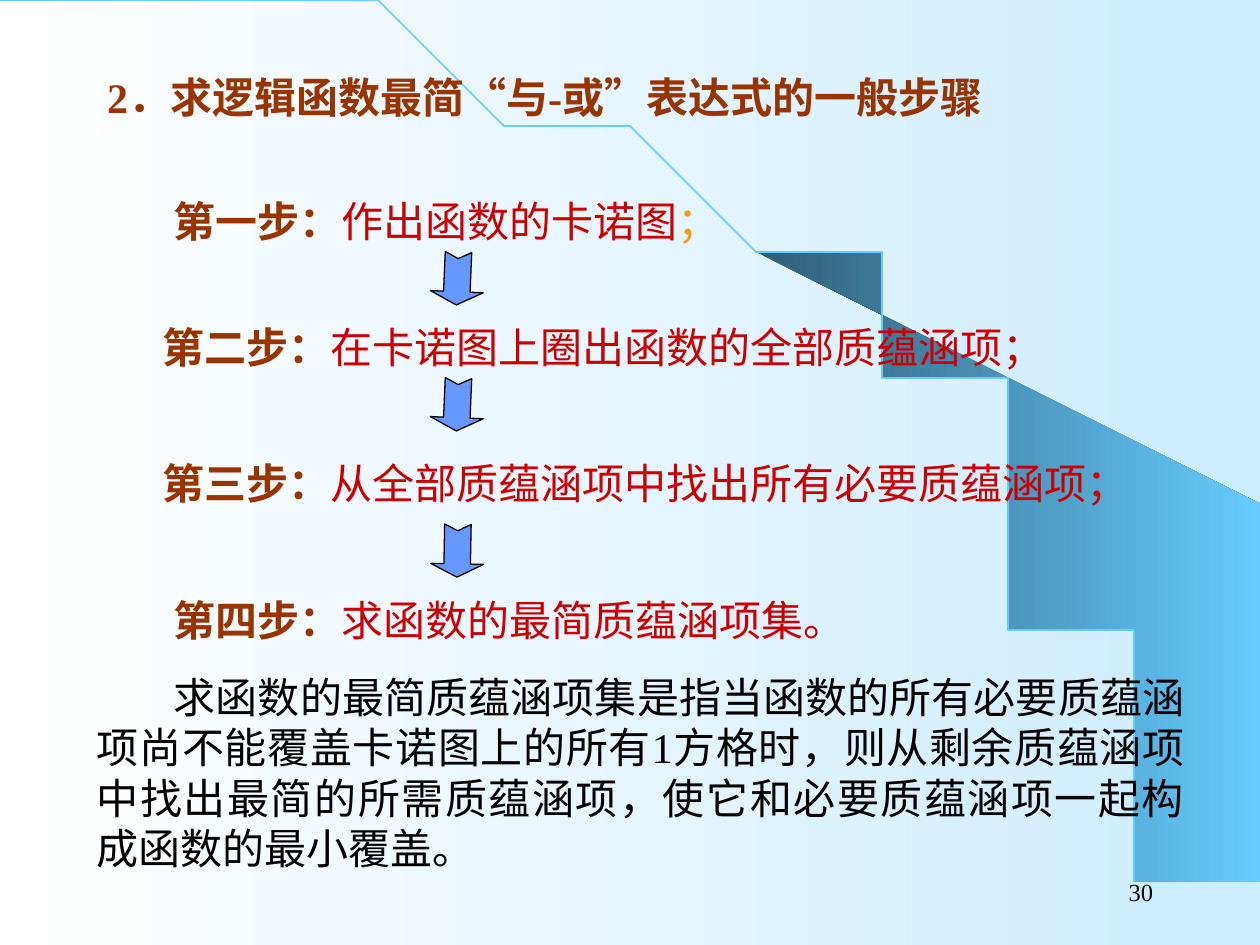
import math

from pptx import Presentation
from pptx.dml.color import RGBColor
from pptx.enum.shapes import MSO_SHAPE
from pptx.enum.text import MSO_ANCHOR, MSO_AUTO_SIZE, PP_ALIGN
from pptx.util import Inches, Pt

ARROW = MSO_SHAPE.NOTCHED_RIGHT_ARROW
TOP, MIDDLE = MSO_ANCHOR.TOP, MSO_ANCHOR.MIDDLE
LEFT, RIGHT, JUSTIFY = PP_ALIGN.LEFT, PP_ALIGN.RIGHT, PP_ALIGN.JUSTIFY
NO_AUTOFIT = MSO_AUTO_SIZE.NONE

FONT = "Times New Roman"
WHITE = RGBColor(0xFF, 0xFF, 0xFF)
BLACK = RGBColor(0x00, 0x00, 0x00)
PALE = RGBColor(0xCC, 0xEC, 0xFF)
SKY = RGBColor(0x66, 0xCC, 0xFF)
DEEP = RGBColor(0x2F, 0x5E, 0x76)
BLUE = RGBColor(0x66, 0x99, 0xFF)
BROWN = RGBColor(0x99, 0x33, 0x00)
RED = RGBColor(0xCC, 0x00, 0x00)
ORANGE = RGBColor(0xFF, 0x99, 0x00)

TITLE = "2．求逻辑函数最简“与-或”表达式的一般步骤"
STEPS = [
    (0.67, 1.5, [("第一步：", BROWN, True), ("作出函数的卡诺图", RED, False), ("；", ORANGE, False)]),
    (0.58, 2.5, [("第二步：", BROWN, True), ("在卡诺图上圈出函数的全部质蕴涵项；", RED, False)]),
    (0.58, 3.58, [("第三步：", BROWN, True), ("从全部质蕴涵项中找出所有必要质蕴涵项；", RED, False)]),
]
LAST_STEP = [("第四步：", BROWN, True), ("求函数的最简质蕴涵项集。", RED, False)]
NOTE = [(
    "求函数的最简质蕴涵项集是指当函数的所有必要质蕴涵项尚不能覆盖卡诺图上的所有1方格时，"
    "则从剩余质蕴涵项中找出最简的所需质蕴涵项，使它和必要质蕴涵项一起构成函数的最小覆盖。",
    BLACK, False,
)]
PAGE = "30"
ARROWS = [(2, 92.4), (3, 92.4), (4.16, 91.1)]
ARROW_LEFT, ARROW_SIZE = 3.42, 0.42
INDENT = 0.61
ARC_W, ARC_H = 9.2, 7.49
SWOOSH_START = 39.8
EDGE, EDGE_TOP = 9.99, 4.23


def set_gradient(fill, start, end):
    fill.gradient()
    fill.gradient_angle = 0
    for stop, color in zip(fill.gradient_stops, (start, end)):
        stop.color.rgb = color


def arc_points(start, count=60):
    angles = [math.radians(start + (90 - start) * i / count) for i in range(count + 1)]
    return [(ARC_W * math.sin(a), ARC_H * (1 - math.cos(a))) for a in angles]


def add_outline(s, points, close):
    builder = s.shapes.build_freeform(*points[0], scale=Inches(1))
    builder.add_line_segments(points[1:], close=close)
    sp = builder.convert_to_shape()
    sp.shadow.inherit = False
    return sp


def write(p, runs, size=24, align=JUSTIFY, indent=0):
    if indent:
        p._p.get_or_add_pPr().set("indent", str(Inches(indent)))
    p.alignment = align
    for text, color, bold in runs:
        r = p.add_run()
        r.text = text
        r.font.name = FONT
        r.font.size = Pt(size)
        r.font.bold = bold
        r.font.color.rgb = color


def add_text(s, left, top, width, height, anchor=TOP):
    tf = s.shapes.add_textbox(Inches(left), Inches(top), Inches(width), Inches(height)).text_frame
    tf.word_wrap = True
    tf.vertical_anchor = anchor
    return tf


def main():
    prs = Presentation()
    prs.slide_width, prs.slide_height = Inches(10), Inches(7.5)
    s = prs.slides.add_slide(prs.slide_layouts[5])
    set_gradient(s.background.fill, WHITE, PALE)

    swoosh = add_outline(s, arc_points(SWOOSH_START) + [(EDGE, ARC_H), (EDGE, EDGE_TOP)], True)
    set_gradient(swoosh.fill, DEEP, SKY)
    swoosh.line.fill.background()
    arc = add_outline(s, arc_points(0), False)
    arc.fill.background()
    arc.line.color.rgb = SKY
    arc.line.width = Pt(1)

    title = s.shapes.title
    title.left, title.top = Inches(0.67), Inches(0.52)
    title.width, title.height = Inches(7.92), Inches(0.5)
    tf = title.text_frame
    tf.auto_size = NO_AUTOFIT
    tf.vertical_anchor = TOP
    write(tf.paragraphs[0], [(TITLE, BROWN, True)], align=LEFT, indent=0.08)
    s.shapes._spTree.append(title._element)

    for left, top, runs in STEPS:
        write(add_text(s, left, top, 8.83, 0.5).paragraphs[0], runs, indent=INDENT)

    tf = add_text(s, 0.67, 4.67, 8.83, 2.31)
    write(tf.paragraphs[0], LAST_STEP, align=LEFT, indent=INDENT)
    p = tf.add_paragraph()
    p.space_before = Pt(15)
    write(p, NOTE, indent=INDENT)

    for top, angle in ARROWS:
        sp = s.shapes.add_shape(ARROW, Inches(ARROW_LEFT), Inches(top), Inches(ARROW_SIZE), Inches(ARROW_SIZE))
        sp.adjustments[0], sp.adjustments[1] = 0.5, 0.25
        sp.rotation = angle
        sp.shadow.inherit = False
        sp.fill.solid()
        sp.fill.fore_color.rgb = BLUE
        sp.line.color.rgb = BLACK
        sp.line.width = Pt(0.75)

    tf = add_text(s, 7.17, 6.83, 2.08, 0.5, MIDDLE)
    write(tf.paragraphs[0], [(PAGE, BLACK, False)], size=14, align=RIGHT)

    prs.save("out.pptx")


if __name__ == "__main__":
    main()
